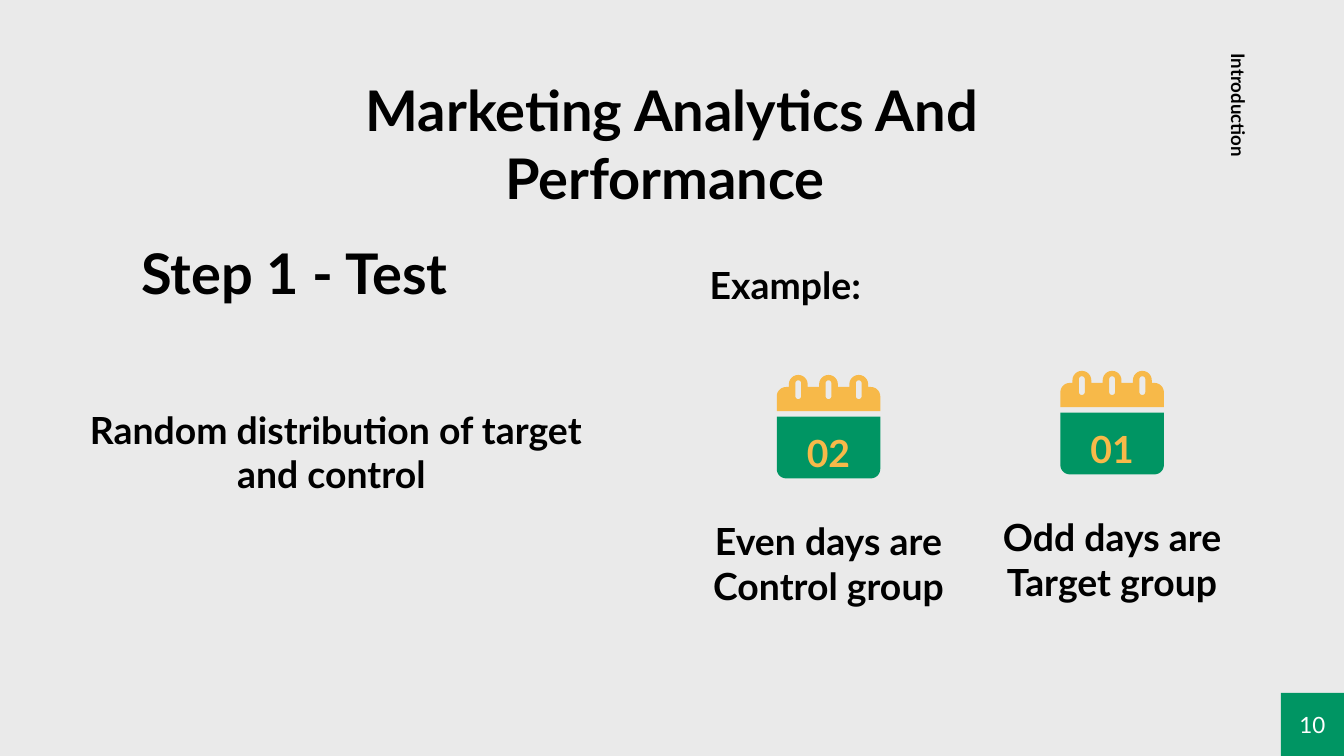
from math import cos, radians, sin

from pptx import Presentation
from pptx.dml.color import RGBColor
from pptx.enum.shapes import MSO_SHAPE
from pptx.enum.text import MSO_ANCHOR, MSO_AUTO_SIZE, PP_ALIGN
from pptx.util import Inches, Pt

CENTER, LEFT = PP_ALIGN.CENTER, PP_ALIGN.LEFT
TOP, MIDDLE = MSO_ANCHOR.TOP, MSO_ANCHOR.MIDDLE
NO_FIT = MSO_AUTO_SIZE.NONE
RECTANGLE = MSO_SHAPE.RECTANGLE

GREEN, YELLOW, GRAY = "009563", "F7B949", "EAEAEA"
BLACK, WHITE = "000000", "FFFFFF"
COLUMNS, ROWS = 100, 56.25


def paint(fill, color):
    fill.solid()
    fill.fore_color.rgb = RGBColor.from_string(color)


def arc(x, y, radius, start, stop):
    angles = [radians(start + (stop - start) * step / 12) for step in range(13)]
    return [((x + radius * cos(a)) * cell, (y + radius * sin(a)) * cell) for a in angles]


deck = Presentation()
deck.slide_width = Inches(10)
deck.slide_height = Inches(5.625)
cell = deck.slide_width / COLUMNS
slide = deck.slides.add_slide(deck.slide_layouts[5])
paint(slide.background.fill, GRAY)

SIDE, CORNER, RING, SLOT = 7.7, 0.7, 0.7, 0.22
BAND_TOP, BAND_BOTTOM, BODY_TOP = 0.9, 2.7, 3.1
ring_centers = [SIDE / 2 + offset for offset in (-2.25, 0, 2.25)]

body = [(0, BODY_TOP * cell), (SIDE * cell, BODY_TOP * cell)]
body += arc(SIDE - CORNER, SIDE - CORNER, CORNER, 0, 90)
body += arc(CORNER, SIDE - CORNER, CORNER, 90, 180)

band = [(SIDE * cell, BAND_BOTTOM * cell), (0, BAND_BOTTOM * cell)]
band += arc(CORNER, BAND_TOP + CORNER, CORNER, 180, 270)
for center in ring_centers:
    band.append(((center - RING) * cell, BAND_TOP * cell))
    band += arc(center, RING, RING, 180, 360)
    band.append(((center + RING) * cell, BAND_TOP * cell))
band += arc(SIDE - CORNER, BAND_TOP + CORNER, CORNER, 270, 360)

slots = [
    arc(center, 0.4 + SLOT, SLOT, 180, 360) + arc(center, 1.8 - SLOT, SLOT, 0, 180)
    for center in ring_centers
]

calendars = [
    (57.8, 27.9, "02", ["Even days are", "Control group"]),
    (78.9, 27.6, "01", ["Odd days are", "Target group"]),
]
texts = [
    (16.2, 4.3, 67.6, 12.7, 30, CENTER, BLACK, ["Marketing Analytics And Performance "]),
    (95.3, 51.55, 4.7, 4.7, 12, CENTER, WHITE, ["10"]),
    (84.4, 7.4, 13.8, 5, 10, LEFT, BLACK, ["Introduction"]),
    (5.5, 30.1, 39, 7, 20, CENTER, BLACK, ["Random distribution of target and control "]),
    (5.5, 15.6, 32.8, 9.3, 30, CENTER, BLACK, ["Step 1 - Test"]),
    (52.8, 17.7, 28.2, 7, 20, LEFT, BLACK, ["Example:"]),
]

for left, top, day, caption in calendars:
    for contours, color in (([body], GREEN), ([band] + slots, YELLOW)):
        builder = slide.shapes.build_freeform(*contours[0][0])
        builder.add_line_segments(contours[0][1:])
        for contour in contours[1:]:
            builder.move_to(*contour[0])
            builder.add_line_segments(contour[1:])
        piece = builder.convert_to_shape(round(left * cell), round(top * cell))
        piece.shadow.inherit = False
        paint(piece.fill, color)
        piece.line.fill.background()
    texts.append((left, top + 3.6, SIDE, 4.4, 20, CENTER, YELLOW, [day]))
    texts.append((left - 10, top + 10.5, SIDE + 20, 7, 20, CENTER, BLACK, caption))

boxes = {}
for left, top, width, height, size, align, color, lines in texts:
    place = [round(value * cell) for value in (left, top, width, height)]
    if not boxes:
        box = slide.shapes.title
        box.left, box.top, box.width, box.height = place
    elif color == WHITE:
        box = slide.shapes.add_shape(RECTANGLE, *place)
        box.shadow.inherit = False
        paint(box.fill, GREEN)
        box.line.fill.background()
    else:
        box = slide.shapes.add_textbox(*place)
    boxes[lines[0]] = box
    frame = box.text_frame
    frame.auto_size = NO_FIT
    frame.word_wrap = True
    frame.vertical_anchor = MIDDLE
    frame.margin_left = frame.margin_right = 0
    frame.margin_top = frame.margin_bottom = Inches(0.1)
    for index, line in enumerate(lines):
        para = frame.add_paragraph() if index else frame.paragraphs[0]
        para.alignment = align
        span = para.add_run()
        span.text = line
        span.font.name = "Lato"
        span.font.size = Pt(size)
        span.font.bold = color != WHITE
        paint(span.font.fill, color)

label = boxes["Introduction"]
label.rotation = 90
label.text_frame.vertical_anchor = TOP
label.text_frame.margin_left = Inches(0.1)
label.text_frame.paragraphs[0].line_spacing = 0.9

deck.save("out.pptx")
